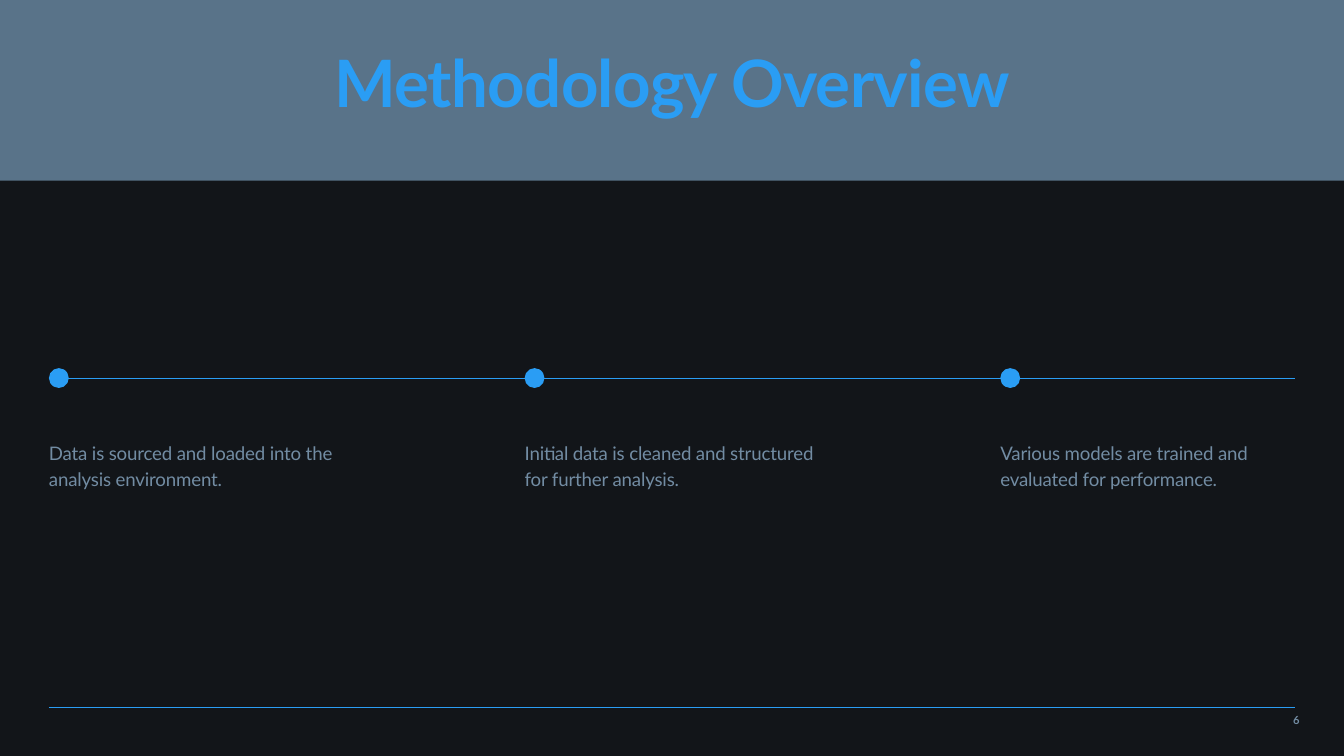
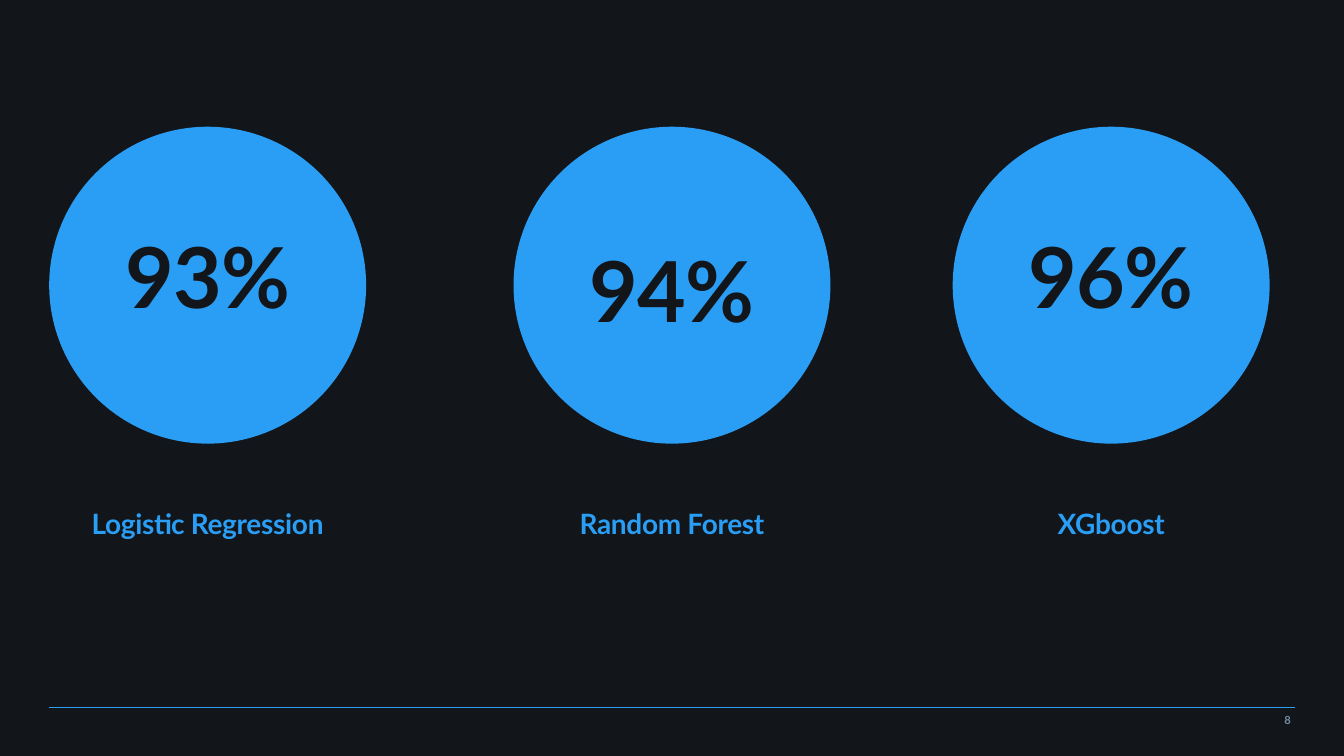
from lxml.etree import SubElement
from pptx import Presentation
from pptx.dml.color import RGBColor
from pptx.enum.shapes import MSO_CONNECTOR as CONN, MSO_SHAPE as SHAPE
from pptx.enum.text import MSO_ANCHOR as ANCHOR, MSO_AUTO_SIZE as AUTO, PP_ALIGN as ALIGN
from pptx.oxml.ns import qn
from pptx.util import Cm, Pt

COLORS = {"ground": "121519", "band": "597389", "accent": "2A9DF4", "muted": "728CA3"}
FONT = "Lato"
LEFT, RIGHT = 1.85, 48.95
FOOTER_Y = 26.72
TIMELINE_Y = 14.29


def rgb(name):
    return RGBColor.from_string(COLORS[name])


def put_text(sp, text, size, color, leading=None, bold=False, align=ALIGN.LEFT,
             spacing=0, wrap=True):
    """Fill a text shape; leading and letter spacing are in points."""
    tf = sp.text_frame
    tf.auto_size = AUTO.NONE
    tf.word_wrap = wrap
    tf.vertical_anchor = ANCHOR.TOP
    tf.margin_left = tf.margin_top = tf.margin_right = tf.margin_bottom = 0
    p = tf.paragraphs[0]
    p.alignment = align
    p.line_spacing = Pt(leading) if leading else 1.0
    p.space_before = Pt(0)
    r = p.add_run()
    r.text = text
    r.font.name = FONT
    r.font.size = Pt(size)
    r.font.bold = bold
    r.font.color.rgb = rgb(color)
    r.font._element.set("spc", str(round(spacing * 100)))


prs = Presentation()
prs.slide_width, prs.slide_height = Cm(50.8), Cm(28.575)
bg = prs.slide_master.background.fill
bg.solid()
bg.fore_color.rgb = rgb("ground")

overview = prs.slides.add_slide(prs.slide_layouts[5])
results = prs.slides.add_slide(prs.slide_layouts[6])

# Rules and page numbers
for s, y in [(overview, TIMELINE_Y), (overview, FOOTER_Y), (results, FOOTER_Y)]:
    rule = s.shapes.add_connector(CONN.STRAIGHT, Cm(LEFT), Cm(y), Cm(RIGHT), Cm(y))
    rule.line.color.rgb = rgb("accent")
    rule.line.width = Pt(0.75)
    SubElement(rule._element.spPr, qn("a:effectLst"))

for s, number, x in [(overview, "6", 48.69), (results, "8", 48.36)]:
    sp = s.shapes.add_textbox(Cm(x), Cm(26.87), Cm(0.43), Cm(0.53))
    put_text(sp, number, 12, "muted", leading=16.8, bold=True, align=ALIGN.RIGHT, wrap=False)

# Methodology: title band and timeline
band = overview.shapes.add_shape(SHAPE.RECTANGLE, 0, 0, prs.slide_width, Cm(6.83))
overview.shapes._spTree.insert(2, band._element)
title = overview.shapes.title
title.left, title.top, title.width, title.height = Cm(LEFT), Cm(1.6), Cm(RIGHT - LEFT), Cm(3)
put_text(title, "Methodology Overview", 70, "accent", bold=True, align=ALIGN.CENTER, spacing=-0.7)

filled = [(band, "band")]
steps = [
    "Data is sourced and loaded into the analysis environment.",
    "Initial data is cleaned and structured for further analysis.",
    "Various models are trained and evaluated for performance.",
]
STEP_PITCH, DOT = 17.98, 0.75
for i, step in enumerate(steps):
    x = LEFT + i * STEP_PITCH
    dot = overview.shapes.add_shape(
        SHAPE.OVAL, Cm(x), Cm(TIMELINE_Y - DOT / 2), Cm(DOT), Cm(DOT))
    filled.append((dot, "accent"))
    sp = overview.shapes.add_textbox(Cm(x), Cm(16.56), Cm(11.14), Cm(2.03))
    put_text(sp, step, 20, "muted", leading=28, spacing=-0.2)

# Results: one score circle per model
models = [
    ("Logistic Regression", "93%", 7.85, 8.81),
    ("Random Forest", "94%", 25.4, 9.32),
    ("XGboost", "96%", 42, 8.81),
]
CIRCLE, SCORE_W, LABEL_W = 11.98, 8.8, 19.13
for model, score, center, score_y in models:
    circle = results.shapes.add_shape(
        SHAPE.OVAL, Cm(center - CIRCLE / 2), Cm(4.79), Cm(CIRCLE), Cm(CIRCLE))
    filled.append((circle, "accent"))
    sp = results.shapes.add_textbox(Cm(center - SCORE_W / 2), Cm(score_y), Cm(SCORE_W), Cm(3.86))
    put_text(sp, score, 90, "ground", leading=99, bold=True, align=ALIGN.CENTER, spacing=-0.9)
    sp = results.shapes.add_textbox(Cm(center - LABEL_W / 2), Cm(19.25), Cm(LABEL_W), Cm(1.32))
    put_text(sp, model, 30, "accent", leading=33, bold=True, align=ALIGN.CENTER, spacing=-0.3)

for sp, color in filled:
    sp.shadow.inherit = False
    sp.fill.solid()
    sp.fill.fore_color.rgb = rgb(color)
    sp.line.fill.background()

prs.save("out.pptx")
